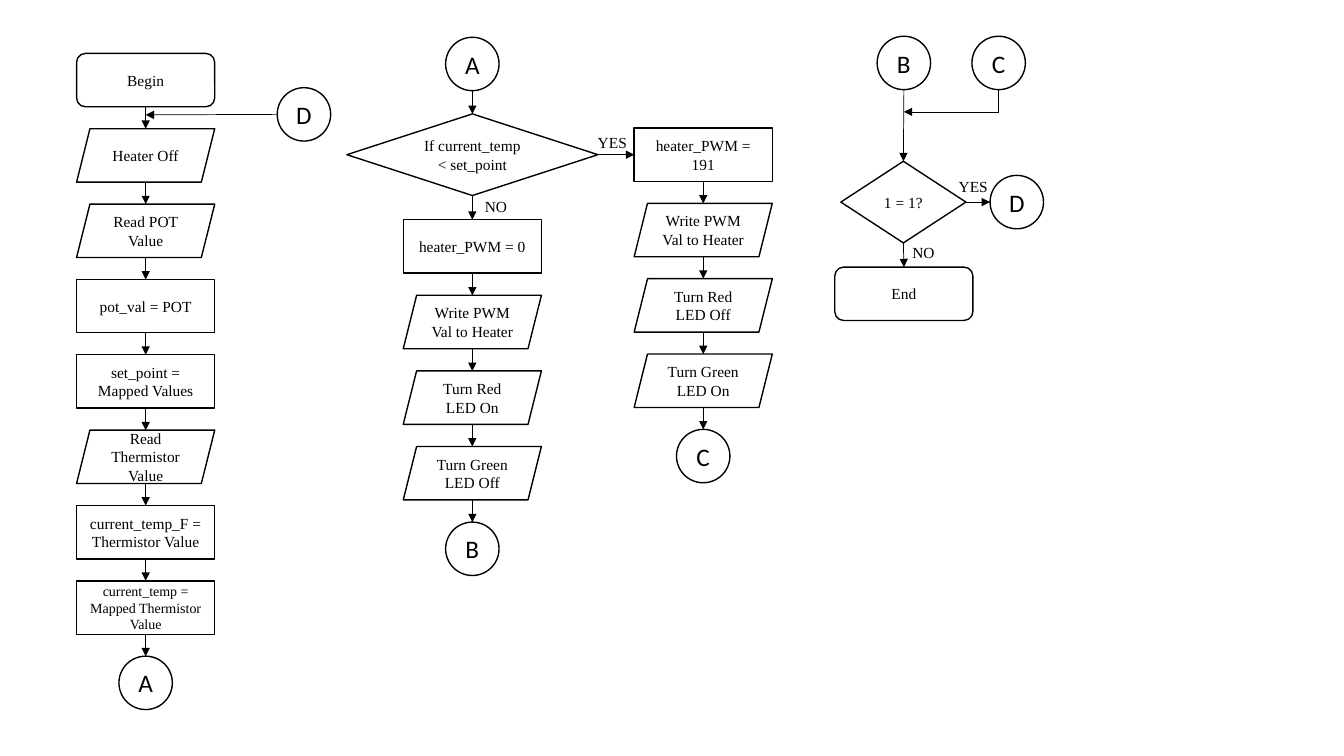
from dataclasses import dataclass
from itertools import pairwise

from lxml.etree import SubElement
from pptx import Presentation
from pptx.dml.color import RGBColor as Rgb
from pptx.enum.shapes import MSO_CONNECTOR as Conn, MSO_SHAPE as Kind
from pptx.enum.text import MSO_ANCHOR as Anchor, PP_ALIGN as Align
from pptx.oxml.ns import qn
from pptx.util import Inches, Pt


@dataclass(frozen=True)
class Theme:
    ink: Rgb = Rgb(0, 0, 0)
    paper: Rgb = Rgb(255, 255, 255)
    font: str = "Times New Roman"
    mark: str = "Calibri"
    body: int = 11
    small: int = 10
    big: int = 18
    edge: float = 1
    wire: float = 0.5


THEME = Theme()
WIDE, HIGH = Inches(13.33), Inches(7.5)
CELL = HIGH // 75  # the grid has 75 rows of square cells
STEP_W, STEP_H, DISC = 13.7, 5.3, 5.3
TAG_W, TAG_H = 5.3, 2.9
TOP, LEFT, BOTTOM, RIGHT = range(4)
BEGIN, IO, TASK, TEST, LINK = (Kind.ROUNDED_RECTANGLE, Kind.PARALLELOGRAM,
                               Kind.RECTANGLE, Kind.DIAMOND, Kind.OVAL)
SQUARE = (BEGIN, TASK, TEST)


@dataclass(frozen=True)
class Box:
    """An area of the slide, measured in grid cells."""
    x: float
    y: float
    w: float
    h: float

    def inner(self, dx, dy, w, h):
        return Box(self.x + dx, self.y + dy, w, h)

    def emu(self):
        return [round(v * CELL) for v in (self.x, self.y, self.w, self.h)]


def style(frame, font, size, align):
    para = frame.paragraphs[0]
    para.alignment = align
    for run in para.runs:
        run.font.name = font
        run.font.size = Pt(size)
        run.font.color.rgb = THEME.ink


def node(slide, kind, text, box, size=THEME.body):
    shape = slide.shapes.add_shape(kind, *box.emu())
    shape.shadow.inherit = False
    shape.fill.solid()
    shape.fill.fore_color.rgb = THEME.paper
    shape.line.color.rgb = THEME.ink
    shape.line.width = Pt(THEME.edge)
    frame = shape.text_frame
    frame.word_wrap = True
    frame.vertical_anchor = Anchor.MIDDLE
    frame.text = text
    style(frame, THEME.font, size, Align.CENTER)
    return shape


def disc(slide, text, box, dx, dy):
    shape = node(slide, LINK, text, box.inner(dx, dy, DISC, DISC))
    style(shape.text_frame, THEME.mark, THEME.big, Align.CENTER)
    return shape


def tag(slide, text, box, dx, dy):
    label = slide.shapes.add_textbox(*box.inner(dx, dy, TAG_W, TAG_H).emu())
    label.text_frame.word_wrap = True
    label.text_frame.text = text
    style(label.text_frame, THEME.font, THEME.body, Align.LEFT)


def mid(shape, side):
    """Return the middle of one side of a shape."""
    x, y = shape.left + shape.width // 2, shape.top + shape.height // 2
    return {TOP: (x, shape.top), LEFT: (shape.left, y),
            BOTTOM: (x, shape.top + shape.height),
            RIGHT: (shape.left + shape.width, y)}[side]


def wire(slide, start, end, head=True):
    line = slide.shapes.add_connector(Conn.STRAIGHT, *start, *end)
    line.line.color.rgb = THEME.ink
    line.line.width = Pt(THEME.wire)
    props = line._element.spPr
    if head:
        SubElement(props.find(qn("a:ln")), qn("a:tailEnd"), type="triangle")
    SubElement(props, qn("a:effectLst"))
    return line


def join(slide, above, below, out=BOTTOM, into=TOP):
    """Draw an arrow between two shapes, glued where sides are square."""
    line = wire(slide, mid(above, out), mid(below, into))
    if above.auto_shape_type in SQUARE:
        line.begin_connect(above, out)
    if below.auto_shape_type in SQUARE:
        line.end_connect(below, into)


def stack(slide, box, steps, last):
    """Spread steps evenly down the box, end on a disc, and join them all."""
    pitch = (box.h - DISC) / len(steps)
    shapes = [node(slide, kind, text, box.inner(0, i * pitch, box.w, STEP_H), *size)
              for i, (kind, text, *size) in enumerate(steps)]
    shapes.append(disc(slide, last, box, (box.w - DISC) / 2, box.h - DISC))
    for above, below in pairwise(shapes):
        join(slide, above, below)
    return shapes[0]


def setup(slide, box):
    first = stack(slide, box.inner(0, 0, STEP_W, box.h), [
        (BEGIN, "Begin"),
        (IO, "Heater Off"),
        (IO, "Read POT Value"),
        (TASK, "pot_val = POT"),
        (TASK, "set_point = Mapped Values"),
        (IO, "Read Thermistor Value"),
        (TASK, "current_temp_F = Thermistor Value"),
        (TASK, "current_temp = Mapped Thermistor Value", THEME.small),
    ], "A")
    back = disc(slide, "D", box, 19.9, 3.4)
    x, y = mid(first, BOTTOM)
    wire(slide, mid(back, LEFT), (x, y + round(0.8 * CELL)))


def control(slide, box):
    entry = disc(slide, "A", box, 9.8, 0)
    test = node(slide, TEST, "If current_temp < set_point", box.inner(0, 7.6, 24.9, 8.1))
    cool = stack(slide, box.inner(5.6, 18.1, STEP_W, 35.3), [
        (TASK, "heater_PWM = 0"),
        (IO, "Write PWM Val to Heater"),
        (IO, "Turn Red LED On"),
        (IO, "Turn Green LED Off"),
    ], "B")
    heat = stack(slide, box.inner(28.5, 9, STEP_W, 35.2), [
        (TASK, "heater_PWM = 191"),
        (IO, "Write PWM Val to Heater"),
        (IO, "Turn Red LED Off"),
        (IO, "Turn Green LED On"),
    ], "C")
    join(slide, entry, test)
    join(slide, test, cool)
    join(slide, test, heat, RIGHT, LEFT)
    tag(slide, "YES", box, 23.9, 9)
    tag(slide, "NO", box, 12.7, 15.4)


def repeat(slide, box):
    cool = disc(slide, "B", box, 4.2, 0)
    heat = disc(slide, "C", box, 13.6, 0)
    test = node(slide, TEST, "1 = 1?", box.inner(0.6, 12.4, 12.4, 8.1))
    back = disc(slide, "D", box, 15.4, 13.8)
    end = node(slide, BEGIN, "End", box.inner(0, 22.9, STEP_W, STEP_H))
    join(slide, cool, test)
    join(slide, test, end)
    join(slide, test, back, RIGHT, LEFT)
    x, y = mid(heat, BOTTOM)
    bend = (x, y + round(2.2 * CELL))
    wire(slide, (x, y), bend, head=False)
    wire(slide, bend, (mid(cool, BOTTOM)[0], bend[1]))
    tag(slide, "YES", box, 11.3, 13.5)
    tag(slide, "NO", box, 6.7, 20)


def main():
    deck = Presentation()
    deck.slide_width, deck.slide_height = WIDE, HIGH
    slide = deck.slides.add_slide(deck.slide_layouts.get_by_name("Blank"))
    setup(slide, Box(7.6, 5.3, 25.2, 65.1))
    control(slide, Box(34.4, 3.7, 42.2, 53.4))
    repeat(slide, Box(82.8, 3.6, 20.7, 28.2))
    deck.save("out.pptx")


if __name__ == "__main__":
    main()
